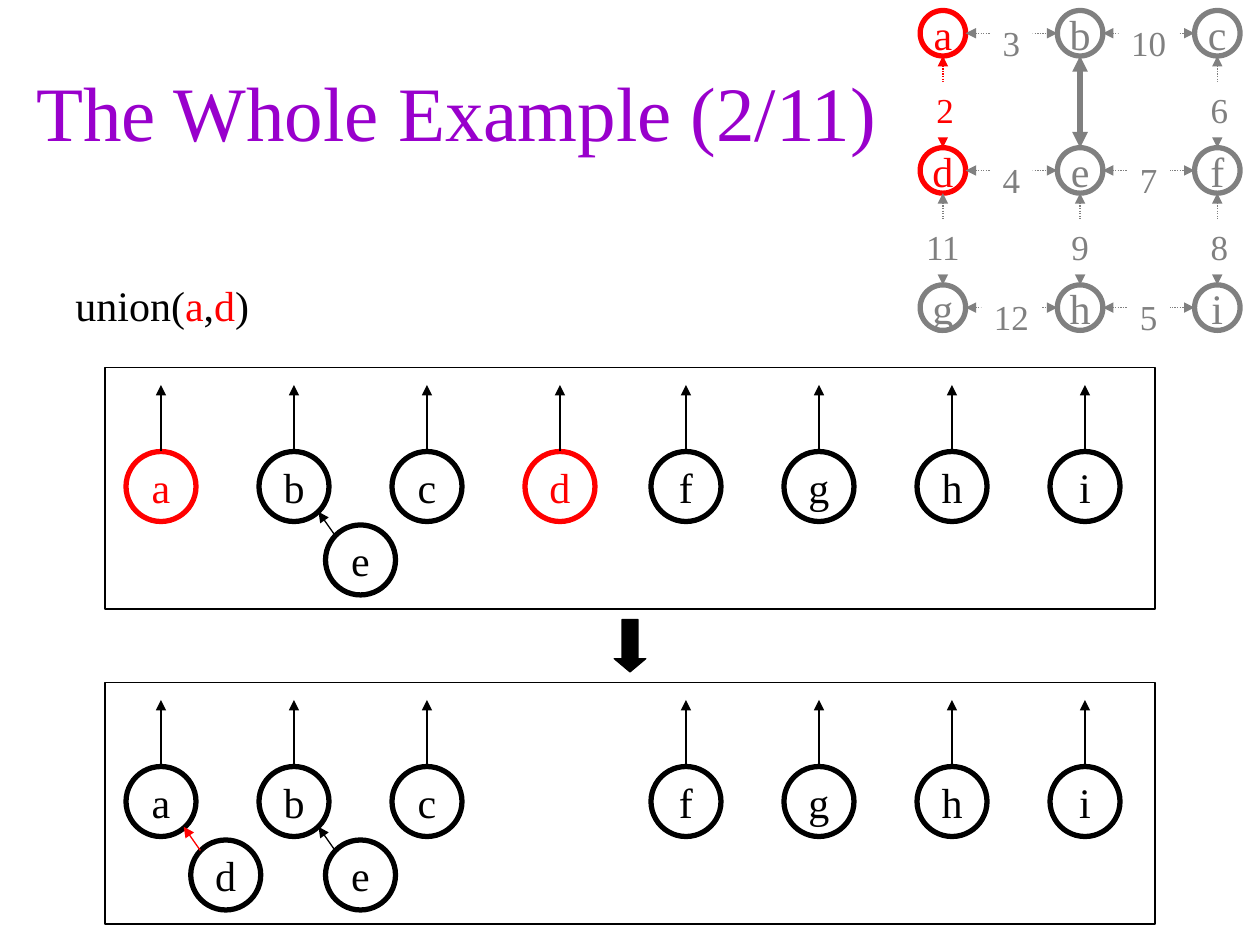
from lxml.etree import SubElement as Sub
from pptx import Presentation
from pptx.dml.color import RGBColor
from pptx.enum.dml import MSO_LINE as Dash
from pptx.enum.shapes import MSO_CONNECTOR as Link, MSO_SHAPE as Form
from pptx.enum.text import MSO_ANCHOR as Anchor, MSO_AUTO_SIZE as Fit, PP_ALIGN as Align
from pptx.oxml.ns import qn
from pptx.util import Pt

BLACK = RGBColor(0, 0, 0)
WHITE = RGBColor(255, 255, 255)
RED = RGBColor(255, 0, 0)
GREY = RGBColor(128, 128, 128)
PURPLE = RGBColor(153, 0, 204)

FONT = "Times New Roman"
NODES = ("abc", "def", "ghi")
ACROSS = (("3", "10"), ("4", "7"), ("12", "5"))
DOWN = (("2", "", "6"), ("11", "9", "8"))
WIDTHS = {"11": 36, "9": 42}
STEP = 78.4


def write(shape, runs, size, align=Align.CENTER, anchor=Anchor.MIDDLE, wrap=False):
    frame = shape.text_frame
    frame.word_wrap = wrap
    frame.vertical_anchor = anchor
    par = frame.paragraphs[0]
    par.alignment = align
    for text, color in runs:
        run = par.add_run()
        run.text = text
        run.font.name = FONT
        run.font.size = Pt(size)
        run.font.color.rgb = color


def draw(slide, form, x, y, w, h, fill=None, edge=None, weight=0.75):
    shape = slide.shapes.add_shape(form, Pt(x), Pt(y), Pt(w), Pt(h))
    shape.shadow.inherit = False
    if fill is None:
        shape.fill.background()
    else:
        shape.fill.solid()
        shape.fill.fore_color.rgb = fill
    if edge is None:
        shape.line.fill.background()
    else:
        shape.line.color.rgb = edge
        shape.line.width = Pt(weight)
    return shape


def arrow(slide, x1, y1, x2, y2, color=BLACK, weight=0.75, dash=None, both=False):
    link = slide.shapes.add_connector(Link.STRAIGHT, Pt(x1), Pt(y1), Pt(x2), Pt(y2))
    link.line.color.rgb = color
    link.line.width = Pt(weight)
    if dash is not None:
        link.line.dash_style = dash
    props = link._element.spPr
    line = props.find(qn("a:ln"))
    for end in ("a:headEnd", "a:tailEnd") if both else ("a:tailEnd",):
        Sub(line, qn(end), type="triangle")
    Sub(props, qn("a:effectLst"))


def node(slide, name, x, y, size, color):
    ring = draw(slide, Form.OVAL, x - size / 2, y - size / 2, size, size, edge=color, weight=3)
    write(ring, [(name, color)], 24)


def label(slide, text, x, y, w, color, wrap):
    box = draw(slide, Form.RECTANGLE, x - w / 2, y, w, 31.5, fill=WHITE)
    write(box, [(text, color)], 20, anchor=Anchor.TOP, wrap=wrap)
    box.text_frame.auto_size = Fit.SHAPE_TO_FIT_TEXT


def graph(slide, x0, y0):
    xs = [x0 + STEP * i for i in range(3)]
    ys = [y0 + STEP * i for i in range(3)]
    for y, names in zip(ys, NODES):
        for x, name in zip(xs, names):
            node(slide, name, x, y, 26, RED if name in "ad" else GREY)
    tags = []
    for y, costs in zip(ys, ACROSS):
        for x, cost in zip(xs, costs):
            arrow(slide, x + 13, y, x + STEP - 13, y, GREY, dash=Dash.ROUND_DOT, both=True)
            tags.append((cost, x + STEP / 2, y - 10.3, 14 + 10.2 * len(cost), GREY, False))
    for y, costs in zip(ys, DOWN):
        for x, cost in zip(xs, costs):
            color = RED if cost == "2" else GREY
            weight, dash = (0.75, Dash.ROUND_DOT) if cost else (3, None)
            arrow(slide, x, y + 13, x, y + STEP - 13, color, weight, dash, True)
            if cost:
                tags.append((cost, x, y + 27.8, WIDTHS.get(cost, 21.6), color, True))
    for tag in tags:
        label(slide, *tag)


def forest(slide, top, roots, kids, hot=""):
    spots = {name: 92 + 76 * i - 4 * (i > 3) for i, name in enumerate("abcdfghi")}
    for name in roots:
        x = spots[name]
        node(slide, name, x, top + 68, 40, RED if name in hot else BLACK)
        arrow(slide, x, top + 48, x, top + 10)
    for name, root, shift, color in kids:
        x = spots[root] + shift
        node(slide, name, x, top + 110, 40, BLACK)
        arrow(slide, x - 14.5, top + 96, x - 24, top + 82.5, color)
    draw(slide, Form.RECTANGLE, 60, top, 600, 138, edge=BLACK)


def main():
    """Build the slide on one union step of the spanning tree example."""
    deck = Presentation()
    deck.slide_width, deck.slide_height = Pt(720), Pt(540)
    slide = deck.slides.add_slide(deck.slide_layouts[6])
    title = slide.shapes.add_textbox(Pt(6), Pt(18), Pt(510), Pt(90))
    write(title, [("The Whole Example (2/11)", PURPLE)], 44, wrap=True)
    call = slide.shapes.add_textbox(Pt(36), Pt(156), Pt(114), Pt(36))
    parts = [("union(", BLACK), ("a", RED), (",", BLACK), ("d", RED), (")", BLACK)]
    write(call, parts, 24, Align.LEFT, Anchor.TOP)
    call.text_frame.auto_size = Fit.SHAPE_TO_FIT_TEXT
    graph(slide, 538.8, 19)
    leaf = ("e", "b", 38, BLACK)
    forest(slide, 210, "abcdfghi", [leaf], "ad")
    mark = draw(slide, Form.DOWN_ARROW, 351, 354, 18, 30, BLACK, BLACK)
    mark.adjustments[1] = 0.42
    forest(slide, 390, "abcfghi", [("d", "a", 37, RED), leaf])
    deck.save("out.pptx")


if __name__ == "__main__":
    main()
